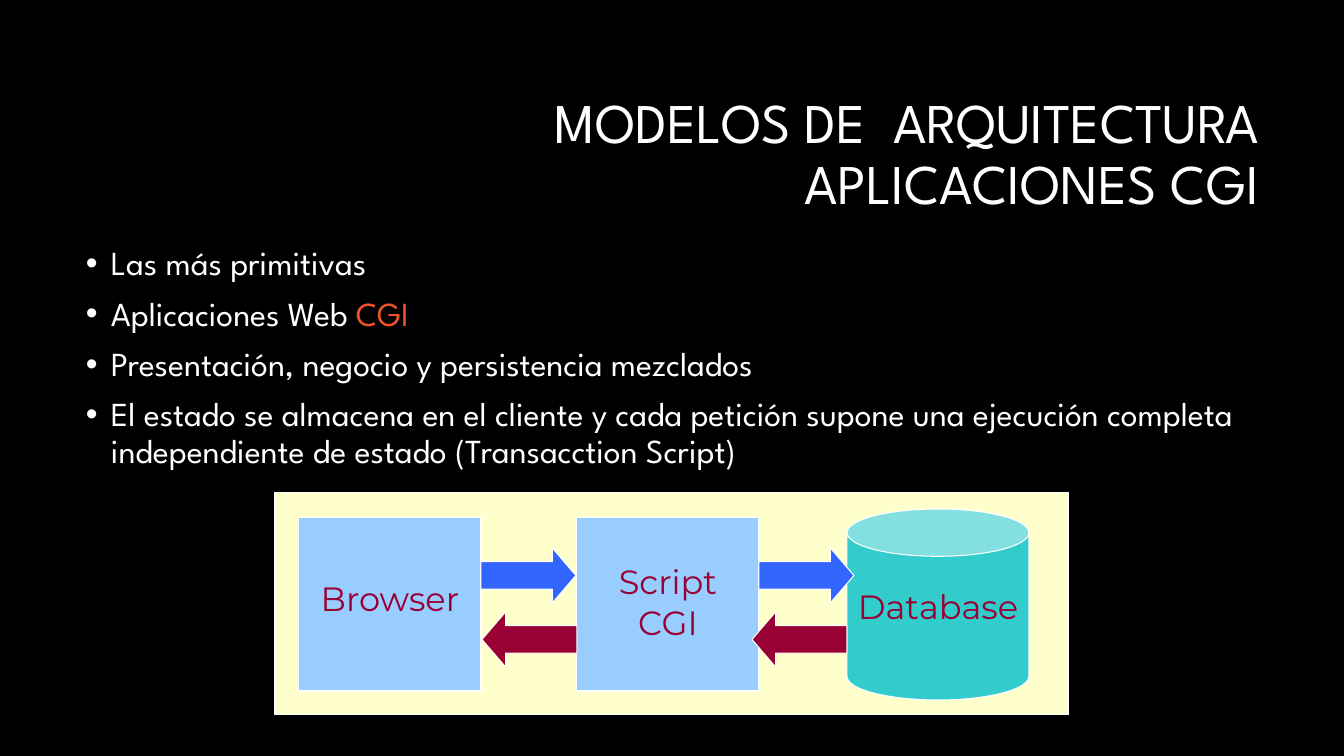
from lxml.etree import SubElement
from pptx import Presentation
from pptx.dml.color import RGBColor
from pptx.enum.shapes import MSO_SHAPE as Shape
from pptx.enum.text import MSO_ANCHOR as Anchor, PP_ALIGN as Align
from pptx.oxml.ns import qn
from pptx.util import Pt

EMU_PER_PX = 914400 / 100.8
COLOURS = {
    "black": "000000", "white": "FFFFFF", "orange": "F0532B",
    "cream": "FFFFCC", "sky": "99CCFF", "teal": "33CCCC",
    "blue": "3366FF", "crimson": "990033",
}


def px(length):
    return round(length * EMU_PER_PX)


def colour(name):
    return RGBColor.from_string(COLOURS[name])


def add_run(paragraph, text, font="League Spartan", size=24, color="white"):
    run = paragraph.add_run()
    run.text = text
    run.font.name = font
    run.font.size = Pt(size)
    run.font.color.rgb = colour(color)


def set_bullet(paragraph, indent=25):
    properties = paragraph._p.get_or_add_pPr()
    properties.set("marL", str(px(indent)))
    properties.set("indent", str(-px(indent)))
    SubElement(properties, qn("a:buFont"), typeface="Arial")
    SubElement(properties, qn("a:buChar"), char="•")


class SlideBuilder:
    def __init__(self, slide):
        self.slide = slide
        background = slide.background.fill
        background.solid()
        background.fore_color.rgb = colour("black")

    def text_frame(self, box, anchor):
        frame = self.slide.shapes.add_textbox(*map(px, box)).text_frame
        frame.word_wrap = True
        frame.vertical_anchor = anchor
        return frame

    def text(self, text, box, align=Align.CENTER, spacing=1.0, **run_format):
        paragraph = self.text_frame(box, Anchor.MIDDLE).paragraphs[0]
        paragraph.alignment = align
        paragraph.line_spacing = spacing
        add_run(paragraph, text, **run_format)

    def bullets(self, items, box):
        """Add a bullet list; each item is a list of (text, colour) pairs."""
        frame = self.text_frame(box, Anchor.TOP)
        for index, item in enumerate(items):
            paragraph = frame.add_paragraph() if index else frame.paragraphs[0]
            paragraph.line_spacing = 0.9
            paragraph.space_before = Pt(10)
            set_bullet(paragraph)
            for text, color in item:
                add_run(paragraph, text, color=color)

    def shape(self, kind, box, fill, adjustments=()):
        shape = self.slide.shapes.add_shape(kind, *map(px, box))
        shape.shadow.inherit = False
        shape.fill.solid()
        shape.fill.fore_color.rgb = colour(fill)
        shape.line.color.rgb = colour("white")
        shape.line.width = Pt(0.75)
        for index, value in enumerate(adjustments):
            shape.adjustments[index] = value

    def label(self, text, box):
        self.text(text, box, font="Montserrat", color="crimson")

    def arrow(self, kind, left, top, fill):
        self.shape(kind, (left, top, 95, 55), fill, (0.5, 0.43))


def main():
    presentation = Presentation()
    presentation.slide_width, presentation.slide_height = px(1344), px(756)
    slide = presentation.slides.add_slide(presentation.slide_layouts[6])
    builder = SlideBuilder(slide)

    builder.text("MODELOS DE  ARQUITECTURA APLICACIONES CGI", (320, 85, 949, 142),
                 align=Align.RIGHT, spacing=0.9, size=40)
    builder.bullets([
        [("Las más primitivas", "white")],
        [("Aplicaciones Web ", "white"), ("CGI", "orange")],
        [("Presentación, negocio y persistencia mezclados", "white")],
        [("El estado se almacena en el cliente y cada petición supone una ejecución "
          "completa independiente de estado (Transacction Script)", "white")],
    ], (76, 242, 1192, 444))

    builder.shape(Shape.RECTANGLE, (275, 493, 794, 222), "cream")
    node_width = 182
    browser_left, script_left, database_left = 299, 577, 847
    for left, text, label_top, label_height in (
            (browser_left, "Browser", 573, 50), (script_left, "Script CGI", 556, 91)):
        builder.shape(Shape.RECTANGLE, (left, 517, node_width, 174), "sky")
        builder.label(text, (left, label_top, node_width, label_height))
    builder.shape(Shape.CAN, (database_left, 509, node_width, 191), "teal", (0.26,))

    for left in (browser_left, script_left):
        builder.arrow(Shape.RIGHT_ARROW, left + node_width, 548, "blue")
    for right in (script_left, database_left):
        builder.arrow(Shape.LEFT_ARROW, right - 95, 612, "crimson")
    builder.label("Database", (database_left - 16, 581, node_width + 32, 50))

    presentation.save("out.pptx")


if __name__ == "__main__":
    main()
